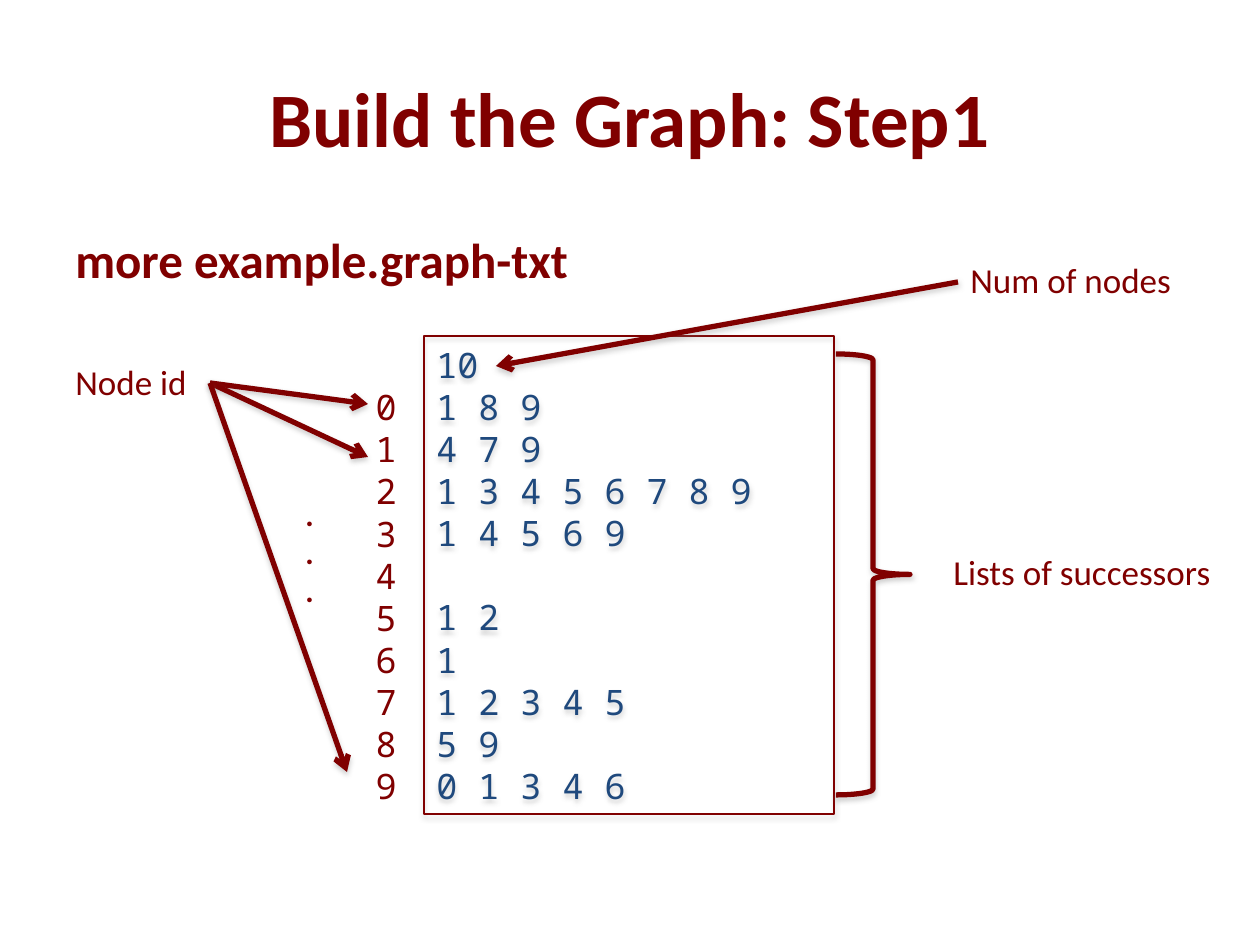
from pptx import Presentation
from pptx.dml.color import RGBColor
from pptx.enum.shapes import MSO_CONNECTOR, MSO_SHAPE
from pptx.enum.text import MSO_ANCHOR, PP_ALIGN
from pptx.oxml import parse_xml
from pptx.oxml.ns import nsdecls, qn
from pptx.util import Emu, Pt

MAROON = RGBColor(0x80, 0x00, 0x00)
NAVY = RGBColor(0x1F, 0x49, 0x7D)
SANS, MONO = "Calibri", "Noto Sans Mono"
LEFT, MID, RIGHT = PP_ALIGN.LEFT, PP_ALIGN.CENTER, PP_ALIGN.RIGHT
TOP, CENTER = MSO_ANCHOR.TOP, MSO_ANCHOR.MIDDLE
RECT, BRACE = MSO_SHAPE.RECTANGLE, MSO_SHAPE.RIGHT_BRACE
STRAIGHT = MSO_CONNECTOR.STRAIGHT

SCALE = 914400 / 126
ROW = 42  # height of one line of the file listing
FILE = ["10", "1 8 9", "4 7 9", "1 3 4 5 6 7 8 9", "1 4 5 6 9", "",
        "1 2", "1", "1 2 3 4 5", "5 9", "0 1 3 4 6"]
FILE_TOP, FILE_TALL = 336, 478


def px(*vals):
    return [Emu(round(v * SCALE)) for v in vals]


def write(shape, lines, size=20, name=SANS, color=MAROON, bold=False,
          align=LEFT, anchor=TOP, wrap=True):
    """Fill a shape with lines; an empty line becomes space above the next."""
    frame = shape.text_frame
    frame.word_wrap, frame.vertical_anchor = wrap, anchor
    look = {"size": Pt(size), "name": name, "bold": bold}
    gap, para = 0, frame.paragraphs[0]
    for line in lines:
        if not line:
            gap += ROW
            continue
        if para.runs:
            para = frame.add_paragraph()
        para.alignment = align
        para.space_before = px(gap)[0]
        gap = 0
        run = para.add_run()
        run.text = line
        for key, val in look.items():
            setattr(run.font, key, val)
        run.font.color.rgb = color


def label(slide, box, *lines, **look):
    write(slide.shapes.add_textbox(*px(*box)), lines, **look)


def stroke(shape, width, alpha, dist):
    """Draw a maroon line with a soft shadow below it."""
    shape.line.color.rgb = MAROON
    shape.line.width = Pt(width)
    props = shape._element.spPr
    props.append(parse_xml(
        f'<a:effectLst {nsdecls("a")}><a:outerShdw blurRad="{Pt(3.1)}" '
        f'dist="{Pt(dist)}" dir="5400000" rotWithShape="0">'
        f'<a:srgbClr val="808080"><a:alpha val="{alpha * 1000}"/>'
        '</a:srgbClr></a:outerShdw></a:effectLst>'))
    return props.find(qn("a:ln"))


def arrow(slide, start, end):
    line = slide.shapes.add_connector(STRAIGHT, *px(*start, *end))
    stroke(line, 3, 38, 1.6).append(
        parse_xml(f'<a:tailEnd {nsdecls("a")} type="arrow"/>'))


def outline(slide, kind, box, width, alpha, dist):
    shape = slide.shapes.add_shape(kind, *px(*box))
    shape.fill.background()
    stroke(shape, width, alpha, dist)
    return shape


def main():
    deck = Presentation()
    deck.slide_width, deck.slide_height = px(1260, 945)
    slide = deck.slides.add_slide(deck.slide_layouts[6])

    label(slide, (63, 38, 1134, 157), "Build the Graph: Step1",
          size=44, bold=True, align=MID, anchor=CENTER)
    label(slide, (63, 223, 1134, 72), "more example.graph-txt",
          size=28, bold=True)

    box = outline(slide, RECT, (424, FILE_TOP, 410, FILE_TALL), 1, 35, 1.8)
    write(box, FILE, name=MONO, color=NAVY, anchor=CENTER)
    label(slide, (293, FILE_TOP + ROW, 116, FILE_TALL - ROW),
          *map(str, range(10)), name=MONO, align=RIGHT, anchor=CENTER)

    label(slide, (63, 354, 147, 55), "Node id")
    for end in ((368, 404), (368, 457), (347, 772)):
        arrow(slide, (210, 383), end)
    label(slide, (293, 489, 34, 127), ".", ".", ".",
          size=18, bold=True, wrap=False)

    arrow(slide, (958, 282), (496, 366))
    label(slide, (958, 252, 294, 55), "Num of nodes")

    brace = outline(slide, BRACE, (836, 354, 74, 441), 3, 38, 1.6)
    brace.adjustments[0] = 0.08
    label(slide, (941, 544, 294, 55), "Lists of successors")

    deck.save("out.pptx")


if __name__ == "__main__":
    main()
